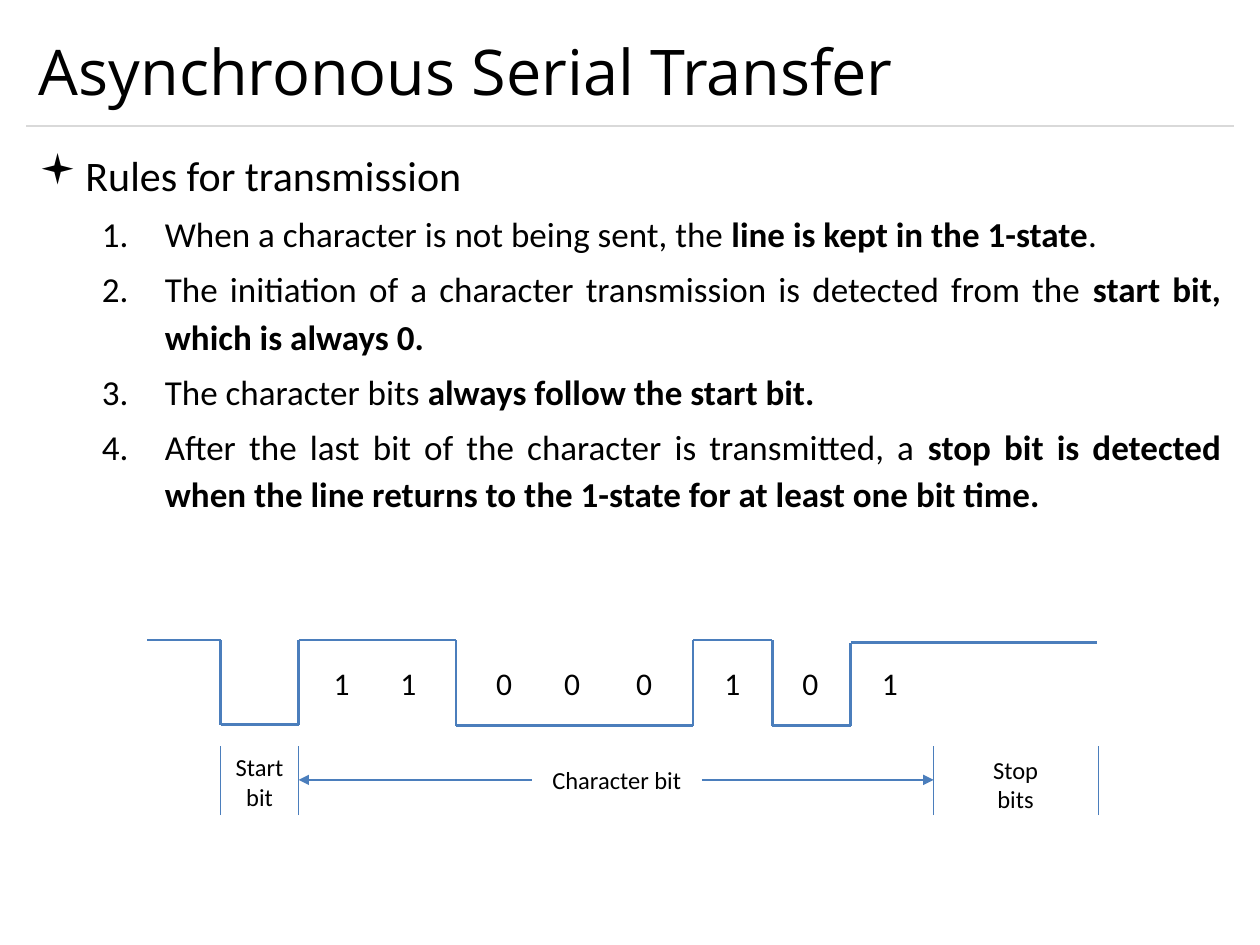
from dataclasses import dataclass
from lxml import etree
from pptx import Presentation, util as u
from pptx.dml import color
from pptx.enum import shapes, text
from pptx.oxml import ns


@dataclass
class Theme:
    ink = color.RGBColor(0, 0, 0)
    rule = color.RGBColor(0xD9, 0xD9, 0xD9)
    wave = color.RGBColor(0x4B, 0x7E, 0xBC)
    head_font = "Open Sans"
    body_font = "Calibri"
    title = 36
    topic = 24
    step = 20
    bit = 18
    label = 14


theme = Theme()
prs = Presentation()
prs.slide_width, prs.slide_height = u.Inches(10), u.Inches(7.5)
s = prs.slides.add_slide(prs.slide_layouts[6])


def add_line(x1, y1, x2, y2, width, rgb=theme.wave, arrow=False):
    sp = s.shapes.add_connector(shapes.MSO_CONNECTOR.STRAIGHT,
                                u.Inches(x1), u.Inches(y1), u.Inches(x2), u.Inches(y2))
    sp.line.color.rgb = rgb
    sp.line.width = u.Pt(width)
    if arrow:
        etree.SubElement(sp.line._get_or_add_ln(), ns.qn("a:tailEnd"), type="triangle")
    etree.SubElement(sp._element.spPr, ns.qn("a:effectLst"))


def add_text(x, y, w, h, paragraphs, size, align=text.PP_ALIGN.LEFT, font=theme.body_font):
    """Each paragraph is a list of (words, bold) runs."""
    tf = s.shapes.add_textbox(u.Inches(x), u.Inches(y), u.Inches(w), u.Inches(h)).text_frame
    tf.word_wrap = True
    for i, runs in enumerate(paragraphs):
        p = tf.paragraphs[0] if i == 0 else tf.add_paragraph()
        p.alignment = align
        for words, bold in runs:
            r = p.add_run()
            r.text = words
            r.font.name, r.font.size, r.font.bold = font, u.Pt(size), bold
            r.font.color.rgb = theme.ink
    return tf


# Title and rule
add_line(0.21, 1, 9.79, 1, 0.75, theme.rule)
tf = add_text(0.21, 0.12, 9.58, 0.88, [[("Asynchronous Serial Transfer", False)]],
              theme.title, font=theme.head_font)
tf.vertical_anchor = text.MSO_ANCHOR.MIDDLE

# Rules for transmission
rules = [
    [("Rules for transmission", False)],
    [("When a character is not being sent, the ", False),
     ("line is kept in the 1-state", True), (".", False)],
    [("The initiation of a character transmission is detected from the ", False),
     ("start bit, which is always 0.", True)],
    [("The character bits ", False), ("always follow the start bit.", True)],
    [("After the last bit of the character is transmitted, a ", False),
     ("stop bit is detected when the line returns to the 1-state for at least one bit time.",
      True)],
]
tf = add_text(0.21, 1.08, 9.58, 3.08, rules, theme.step, text.PP_ALIGN.JUSTIFY)
for i, p in enumerate(tf.paragraphs):
    p.line_spacing = 1.14
    pPr = p._p.get_or_add_pPr()
    left, hang = (1, 0.5) if i else (0.37, 0.37)
    pPr.set("marL", str(u.Inches(left)))
    pPr.set("indent", str(-u.Inches(hang)))
    if i:
        p.space_before = u.Pt(4)
        p.level = 1
        etree.SubElement(pPr, ns.qn("a:buFont"), typeface="+mj-lt")
        etree.SubElement(pPr, ns.qn("a:buAutoNum"), type="arabicPeriod")
    else:
        p.alignment = text.PP_ALIGN.LEFT
        p.runs[0].font.size = u.Pt(theme.topic)
        etree.SubElement(pPr, ns.qn("a:buFont"), typeface="Wingdings")
        etree.SubElement(pPr, ns.qn("a:buChar"), char="▪")

# Signal: where each level starts, and its height
levels = [(1.17, 5.08), (1.75, 5.75), (2.37, 5.08), (3.62, 5.76),
          (5.5, 5.08), (6.13, 5.76), (6.75, 5.1)]
wave_end = 8.71
for i, (x, y) in enumerate(levels):
    if i:
        add_line(x, y, x, levels[i - 1][1], 1.5)
    x_next = levels[i + 1][0] if i + 1 < len(levels) else wave_end
    add_line(x, y, x_next, y, 1.5)

# Bit values
bits = zip("11000101", [2.55, 3.08, 3.84, 4.38, 4.95, 5.65, 6.27, 6.9])
for bit, x in bits:
    add_text(x, 5.22, 0.33, 0.4, [[(bit, False)]], theme.bit)

# Field markers, labels and span arrows
for x in (1.75, 2.37, 7.41, 8.72):
    add_line(x, 6.47, x, 5.92, 0.25)
for x, y, w, h, lines in [(1.75, 5.92, 0.62, 0.57, ["Start", "bit"]),
                          (7.75, 5.94, 0.62, 0.57, ["Stop", "bits"]),
                          (4.22, 6.02, 1.35, 0.34, ["Character bit"])]:
    add_text(x, y, w, h, [[(line, False)] for line in lines],
             theme.label, text.PP_ALIGN.CENTER)
for x1, x2 in [(4.22, 2.37), (5.57, 7.41)]:
    add_line(x1, 6.19, x2, 6.19, 0.75, arrow=True)

prs.save("out.pptx")
